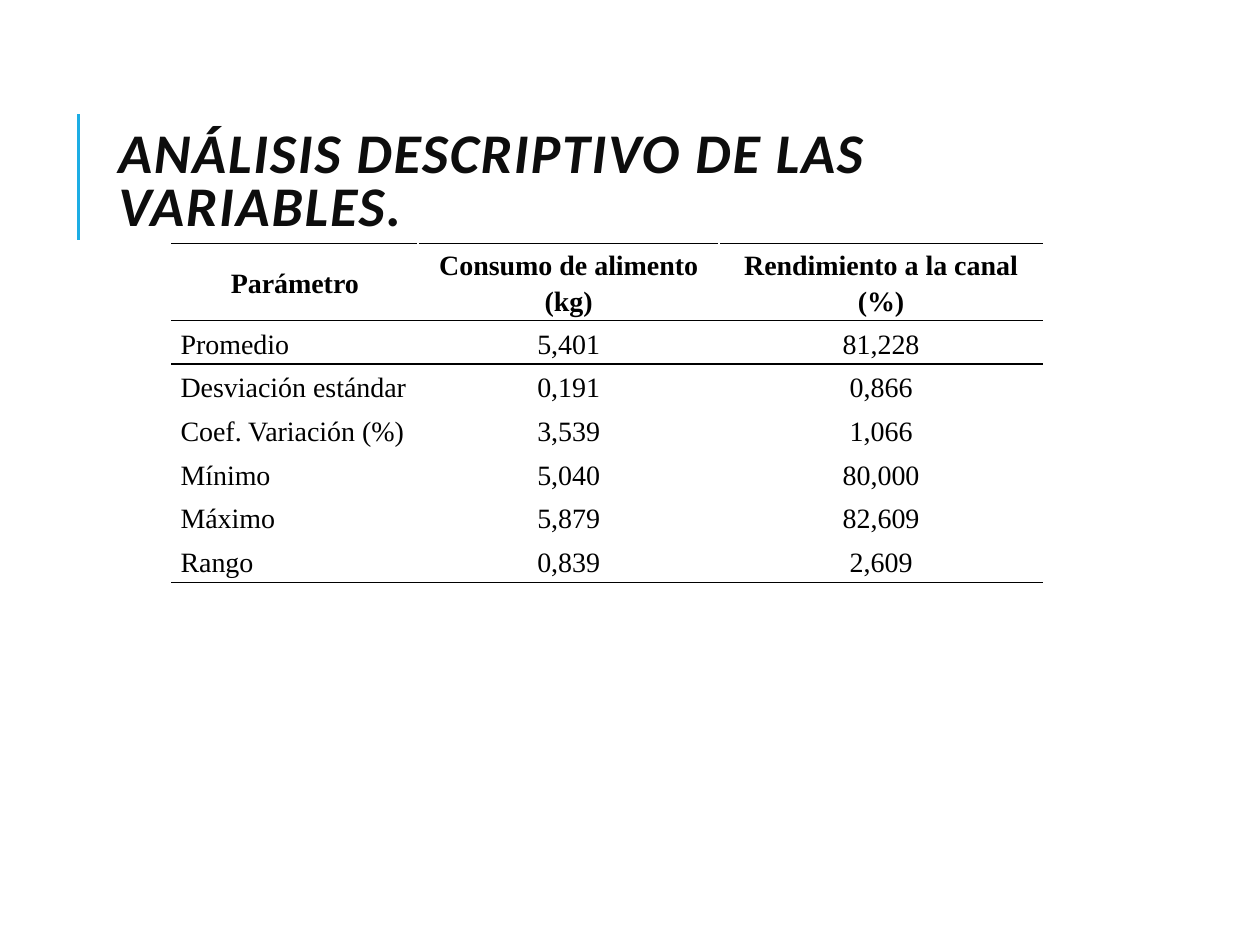
from dataclasses import dataclass

from lxml import etree
from pptx import Presentation
from pptx.dml.color import RGBColor
from pptx.enum.shapes import MSO_CONNECTOR
from pptx.enum.text import MSO_ANCHOR, PP_ALIGN
from pptx.oxml.ns import qn
from pptx.util import Pt


@dataclass(frozen=True)
class Theme:
    """Colours, fonts and type sizes of the slide."""
    accent: str = "1CADE4"
    title_color: str = "0D0D0D"
    ink: str = "000000"
    paper: str = "FFFFFF"
    title_font: str = "Calibri"
    table_font: str = "Times New Roman"
    title_size: int = 32
    table_size: int = 16


THEME = Theme()
NO_GRID_STYLE = "{2D5ABB26-0587-4C30-8999-92F81FD0307C}"
HEADINGS = ("Parámetro", "Consumo de alimento (kg)", "Rendimiento a la canal (%)")
STATISTICS = (
    ("Promedio", "5,401", "81,228"),
    ("Desviación estándar", "0,191", "0,866"),
    ("Coef. Variación (%)", "3,539", "1,066"),
    ("Mínimo", "5,040", "80,000"),
    ("Máximo", "5,879", "82,609"),
    ("Rango", "0,839", "2,609"),
)


def style_run(run, font, size, color, bold):
    """Set the typeface, size, colour and weight of a run."""
    run.font.name = font
    run.font.size = Pt(size)
    run.font.color.rgb = RGBColor.from_string(color)
    run.font.bold = bold


def add_accent_rule(slide, x, top, height):
    """Draw the vertical rule beside the title."""
    rule = slide.shapes.add_connector(
        MSO_CONNECTOR.STRAIGHT, Pt(x), Pt(top + height), Pt(x), Pt(top))
    rule.line.color.rgb = RGBColor.from_string(THEME.accent)
    rule.line.width = Pt(1.5)
    etree.SubElement(rule._element.spPr, qn("a:effectLst"))


def add_title(slide, text, left, top, width, height):
    """Place the title, centred vertically in its box."""
    frame = slide.shapes.add_textbox(
        Pt(left), Pt(top), Pt(width), Pt(height)).text_frame
    frame.word_wrap = True
    frame.vertical_anchor = MSO_ANCHOR.MIDDLE
    paragraph = frame.paragraphs[0]
    paragraph.line_spacing = 0.8
    run = paragraph.add_run()
    run.text = text
    style_run(run, THEME.title_font, THEME.title_size, THEME.title_color, True)
    run.font.italic = True
    run.font._element.set("spc", "100")


def set_borders(cell, borders):
    """Give a cell 1 pt borders from (side, colour) pairs in L, R, T, B order."""
    properties = cell._tc.get_or_add_tcPr()
    for index, (side, color) in enumerate(borders):
        line = etree.Element(qn(f"a:ln{side}"), w=str(Pt(1)))
        fill = etree.SubElement(line, qn("a:solidFill"))
        etree.SubElement(fill, qn("a:srgbClr"), val=color)
        properties.insert(index, line)


def fill_cell(cell, text, heading, centred):
    """Write one table cell."""
    cell.fill.background()
    cell.vertical_anchor = MSO_ANCHOR.MIDDLE
    cell.margin_left = cell.margin_right = Pt(5.2)
    cell.margin_top = cell.margin_bottom = Pt(0)
    paragraph = cell.text_frame.paragraphs[0]
    paragraph.alignment = PP_ALIGN.CENTER if centred else PP_ALIGN.LEFT
    paragraph.line_spacing = 1.15
    run = paragraph.add_run()
    run.text = text
    style_run(run, THEME.table_font, THEME.table_size, THEME.ink, heading)


def add_statistics_table(slide, left, top, widths, heading_height, row_height):
    """Place the table, ruled above and below the headings and at the foot."""
    rows = (HEADINGS, *STATISTICS)
    height = heading_height + row_height * len(STATISTICS)
    frame = slide.shapes.add_table(
        len(rows), len(widths), Pt(left), Pt(top), Pt(sum(widths)), Pt(height))
    table = frame.table
    table.first_row = table.horz_banding = False
    table._tbl.tblPr.find(qn("a:tableStyleId")).text = NO_GRID_STYLE
    for column, width in zip(table.columns, widths):
        column.width = Pt(width)
    last_row, last_column = len(rows) - 1, len(widths) - 1
    for r, values in enumerate(rows):
        table.rows[r].height = Pt(row_height if r else heading_height)
        for c, value in enumerate(values):
            cell = table.cell(r, c)
            fill_cell(cell, value, heading=r == 0, centred=r == 0 or c > 0)
            edges = (
                ("L", THEME.paper, c > 0),
                ("R", THEME.paper, c < last_column),
                ("T", THEME.ink, r <= 1),
                ("B", THEME.ink, r in (0, last_row)),
            )
            set_borders(cell, [(side, color) for side, color, shown in edges if shown])


def build_slide(prs):
    """Add the slide with its title and table."""
    slide = prs.slides.add_slide(prs.slide_layouts[6])
    slide.background.fill.solid()
    slide.background.fill.fore_color.rgb = RGBColor.from_string(THEME.paper)
    add_accent_rule(slide, x=45, top=65, height=72)
    add_title(slide, "ANÁLISIS DESCRIPTIVO DE LAS VARIABLES.",
              left=60.5, top=46, width=574, height=118)
    add_statistics_table(slide, left=98, top=139, widths=(141, 172, 185),
                         heading_height=42, row_height=25)


prs = Presentation()
prs.slide_width, prs.slide_height = Pt(720), Pt(540)
build_slide(prs)
prs.save("out.pptx")
